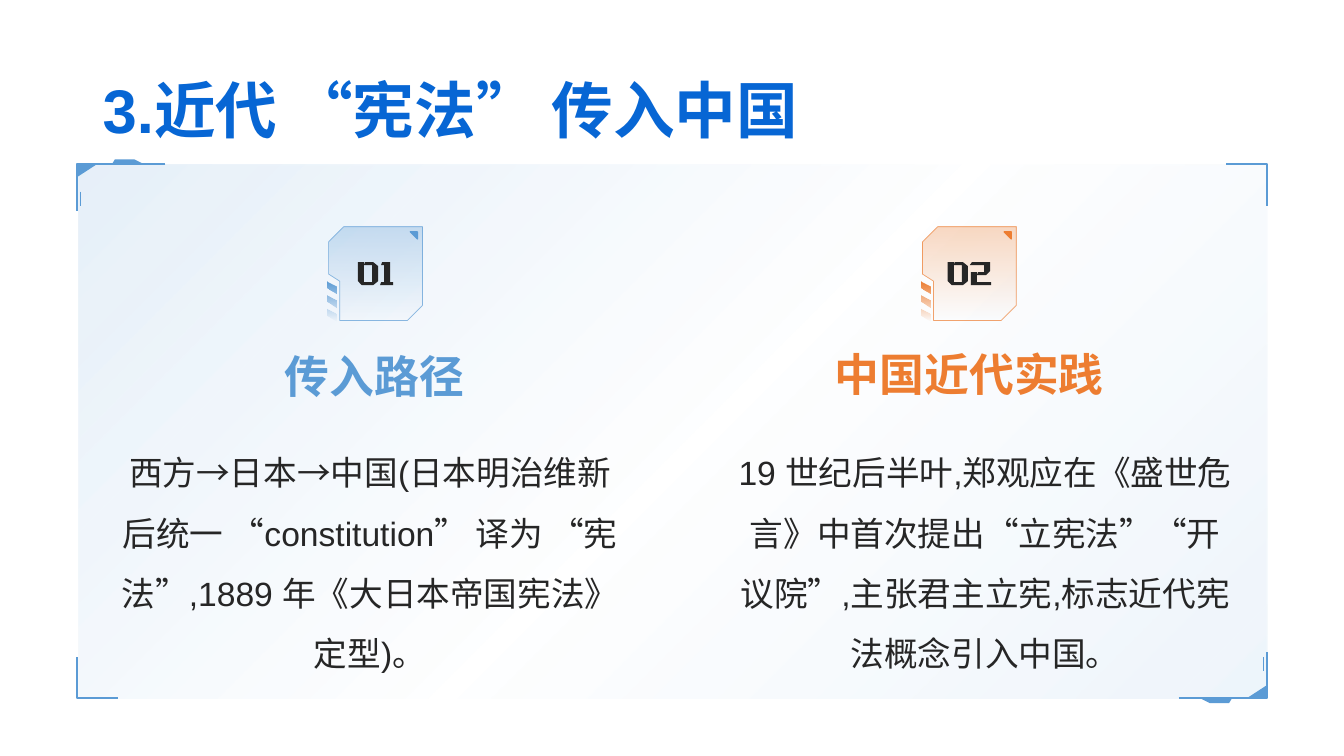
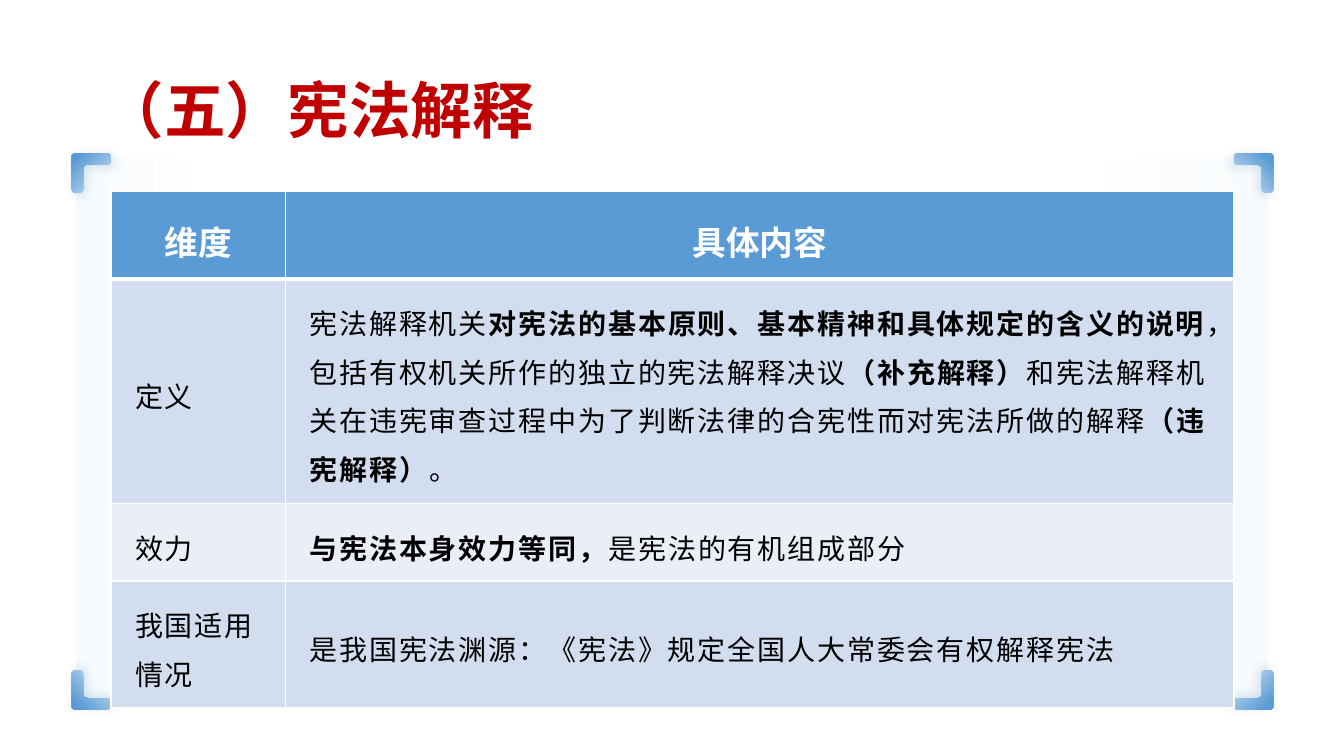
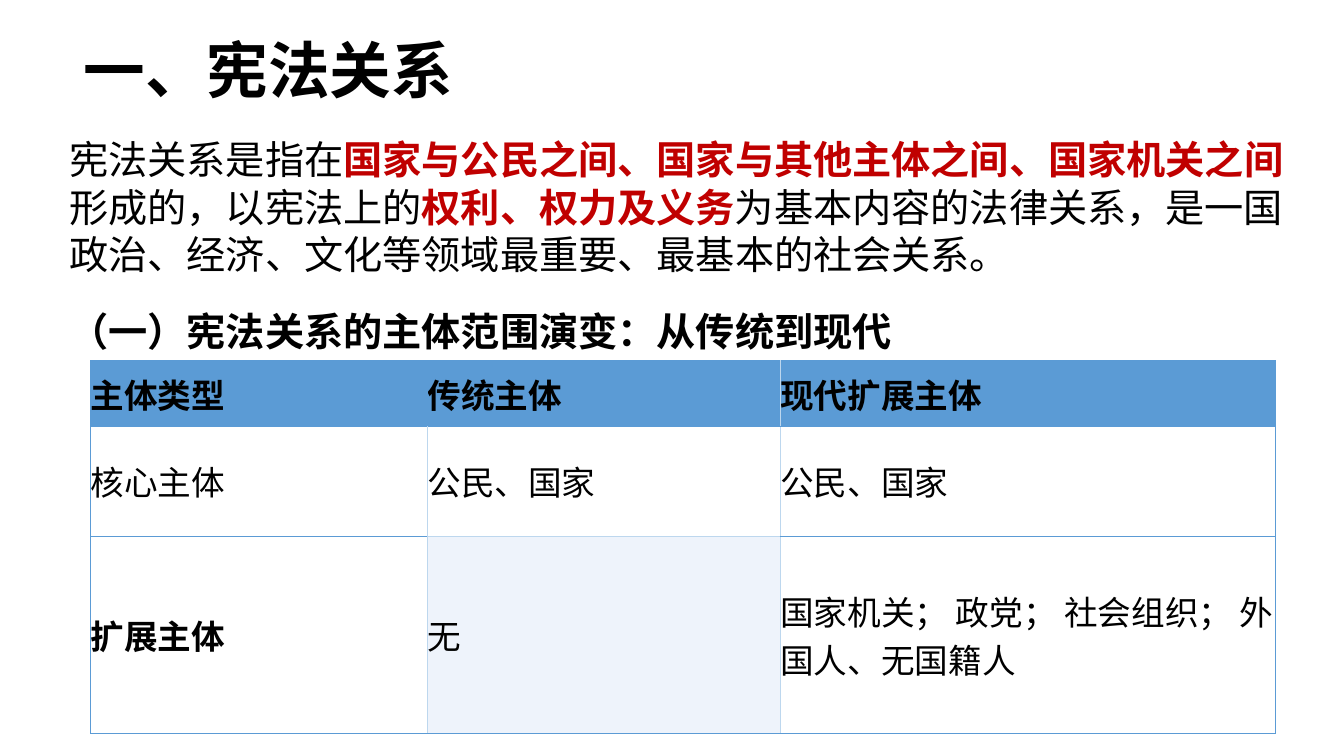
from lxml import etree
from pptx import Presentation
from pptx import util as u
from pptx.dml.color import RGBColor
from pptx.enum import shapes, text
from pptx.oxml.ns import qn

# Shared look
BLUE = RGBColor(0x5B, 0x9B, 0xD5)
SKY = RGBColor(0xB5, 0xD2, 0xEC)
MIST = RGBColor(0xD6, 0xE6, 0xF4)
DEEP = RGBColor(0x2E, 0x75, 0xB6)
EDGE = RGBColor(0xBD, 0xD7, 0xEE)
ORANGE = RGBColor(0xED, 0x7D, 0x31)
TITLE_BLUE = RGBColor(0x07, 0x66, 0xD4)
RED = RGBColor(0xC0, 0x00, 0x00)
INK = RGBColor(0x26, 0x26, 0x26)
BLACK = RGBColor(0, 0, 0)
WHITE = RGBColor(0xFF, 0xFF, 0xFF)
BAND_DARK = RGBColor(0xD2, 0xDE, 0xEF)
BAND_LIGHT = RGBColor(0xEA, 0xEF, 0xF7)
TINT = RGBColor(0xEE, 0xF3, 0xFB)
LATIN, HAN = "Arial", "Noto Sans CJK SC"

# The grid: 75 rows of square cells; every length below counts cells
ROWS = 75
SLIDE_WIDTH, SLIDE_HEIGHT = u.Inches(13.33), u.Inches(7.5)
CELL = SLIDE_HEIGHT / ROWS
POINT_STEPS = 1000  # outline points are rounded to a thousandth of a cell

CENTERED = {"alignment": text.PP_ALIGN.CENTER}
NO_INSETS = dict.fromkeys(("margin_left", "margin_top", "margin_right", "margin_bottom"), 0)

# Numerals as outlines: contours and overall width
ZERO = [(0, 0), (.6, 0), (.6, 2), (1.4, 2), (1.4, .3), (.6, .3), (.7, 0), (1.5, 0),
        (2, .4), (2, 1.9), (1.5, 2.3), (.4, 2.3), (0, 1.9)]
ONE = [(2.4, 0), (3.2, 0), (3.2, 2), (3.5, 2), (3.5, 2.3), (2.2, 2.3), (2.3, 2),
       (2.6, 2), (2.6, .3), (2.3, .3)]
TWO_FOOT = [(2.3, 1), (2.9, 1), (2.9, 2), (4.3, 2), (4.3, 2.3), (2.3, 2.3)]
TWO_HEAD = [(2.4, 0), (4.2, 0), (4.2, .9), (3.8, 1.3), (2.9, 1.3), (3, 1), (3.6, 1),
            (3.6, .3), (2.2, .3)]
NUMERALS = {"01": ([ZERO, ONE], 3.5), "02": ([ZERO, TWO_FOOT, TWO_HEAD], 4.3)}


def cells(*lengths):
    return [u.Emu(round(length * CELL)) for length in lengths]


def apply(target, values):
    for name, value in values.items():
        setattr(target, name, value)


def child(parent, tag, **attributes):
    return etree.SubElement(parent, qn(tag), {k: str(v) for k, v in attributes.items()})


def color_node(parent, color, alpha=100):
    node = child(parent, "a:srgbClr", val=color)
    if alpha < 100:
        child(node, "a:alpha", val=alpha * 1000)
    return node


# Fills, lines and shadows
def paint(shape, fill=None, line=None, width=1):
    shape.shadow.inherit = False
    if fill is None:
        shape.fill.background()
    else:
        shape.fill.solid()
        shape.fill.fore_color.rgb = fill
    if line is None:
        shape.line.fill.background()
    else:
        shape.line.color.rgb = line
        shape.line.width = u.Pt(width)


def set_gradient(shape, stops, angle):
    """Stops are (position, colour, opacity), the angle runs clockwise."""
    empty_fill = shape._element.spPr.find(qn("a:noFill"))
    gradient = etree.Element(qn("a:gradFill"), rotWithShape="1")
    stop_list = child(gradient, "a:gsLst")
    for position, color, alpha in stops:
        color_node(child(stop_list, "a:gs", pos=position * 1000), color, alpha)
    child(gradient, "a:lin", ang=angle * 60000, scaled=0)
    empty_fill.getparent().replace(empty_fill, gradient)


def set_shadow(shape, color, alpha, blur, distance, direction):
    effects = shape._element.spPr.find(qn("a:effectLst"))
    shadow = child(effects, "a:outerShdw", blurRad=u.Pt(blur), dist=u.Pt(distance),
                   dir=direction * 60000, algn="ctr", rotWithShape=0)
    color_node(shadow, color, alpha)


# Shapes
def add_outline(slide, left, top, contours, closed=True, **look):
    scaled = [[(round(x * POINT_STEPS), round(y * POINT_STEPS)) for x, y in contour]
              for contour in contours]
    builder = slide.shapes.build_freeform(*scaled[0][0], scale=CELL / POINT_STEPS)
    for index, contour in enumerate(scaled):
        if index:
            builder.move_to(*contour[0])
        builder.add_line_segments(contour[1:], close=closed)
    shape = builder.convert_to_shape(*cells(left, top))
    paint(shape, **look)
    return shape


def add_preset(slide, kind, box, **look):
    shape = slide.shapes.add_shape(kind, *cells(*box))
    paint(shape, **look)
    return shape


def add_corner_triangle(slide, box, rotation, **look):
    triangle = add_preset(slide, shapes.MSO_SHAPE.ISOSCELES_TRIANGLE, box, **look)
    triangle.adjustments[0] = 1
    triangle.rotation = rotation


def add_panel(slide, box, stops, angle):
    panel = add_preset(slide, shapes.MSO_SHAPE.RECTANGLE, box)
    set_gradient(panel, stops, angle)


# Text
def write(paragraph, content, font, color, strong=None, strong_color=None,
          latin=LATIN, layout=None, tracking=None):
    """Pieces between bars take the strong values."""
    apply(paragraph, layout or {})
    for index, piece in enumerate(content.split("|")):
        if not piece:
            continue
        emphasised = index % 2 == 1
        run = paragraph.add_run()
        run.text = piece
        apply(run.font, {"name": latin, **font, **(strong or {} if emphasised else {})})
        run.font.color.rgb = strong_color if emphasised and strong_color else color
        properties = run._r.get_or_add_rPr()
        properties.set("lang", "zh-CN")
        if tracking:
            properties.set("spc", str(tracking))
        child(properties, "a:ea", typeface=HAN)


def add_text(slide, box, content=None, frame=None, **style):
    text_frame = slide.shapes.add_textbox(*cells(*box)).text_frame
    apply(text_frame, {"word_wrap": True, **(frame or {})})
    if content:
        write(text_frame.paragraphs[0], content, **style)
    return text_frame


def add_title(slide, content, color, latin=LATIN):
    add_text(slide, (9.2, 4, 115, 14.5), content,
             frame={"vertical_anchor": text.MSO_ANCHOR.MIDDLE},
             font={"size": u.Pt(44), "bold": True}, color=color, latin=latin,
             layout={"line_spacing": .9})


# Tables
def set_borders(cell, edges):
    """Edges are (colour, points) for left, right, top and bottom."""
    properties = cell._tc.get_or_add_tcPr()
    for index, (side, (color, width)) in enumerate(zip("LRTB", edges)):
        line = etree.Element(qn(f"a:ln{side}"), w=str(u.Pt(width)))
        color_node(child(line, "a:solidFill"), color)
        properties.insert(index, line)


def add_table(slide, left, top, widths, heights, rows, style_cell):
    """style_cell gives each cell's fill, borders, margins and text style."""
    frame = slide.shapes.add_table(len(heights), len(widths),
                                   *cells(left, top, sum(widths), sum(heights)))
    table = frame.table
    apply(table, {"first_row": False, "horz_banding": False})
    for column, width in zip(table.columns, cells(*widths)):
        column.width = width
    for row, height in zip(table.rows, cells(*heights)):
        row.height = height
    for r, contents in enumerate(rows):
        for c, content in enumerate(contents):
            cell = table.cell(r, c)
            fill, edges, margins, style = style_cell(r, c)
            if fill is None:
                cell.fill.background()
            else:
                cell.fill.solid()
                cell.fill.fore_color.rgb = fill
            set_borders(cell, edges)
            apply(cell, {"vertical_anchor": text.MSO_ANCHOR.MIDDLE, **margins})
            write(cell.text_frame.paragraphs[0], content, **style)


# Slide 1: framed panel with two numbered columns
def add_bracket(slide, x, y, across, down):
    add_outline(slide, x, y, [[(across, 0), (0, 0), (0, down)]], closed=False,
                line=BLUE, width=1.5)


def add_accented_corner(slide, x, y, sign):
    """sign is 1 for the upper left corner and -1 for the lower right one."""
    add_bracket(slide, x, y, sign * 8.8, sign * 4.6)
    width, height = 2, 1.3
    inward = min(sign, 0)
    add_corner_triangle(slide, (x + inward * width, y + inward * height, width, height),
                        180 if sign > 0 else 0, fill=BLUE)
    tick_x = x + sign * .4
    tick = slide.shapes.add_connector(
        shapes.MSO_CONNECTOR.STRAIGHT,
        *cells(tick_x, y + sign * 2.7, tick_x, y + sign * 4.1))
    apply(tick.line, {"width": u.Pt(1)})
    tick.line.color.rgb = BLUE
    child(tick._element.spPr, "a:effectLst")
    tab = [(5.7, -.5), (6.7, 0), (3.5, 0), (3.8, -.5)]
    add_outline(slide, x, y, [[(sign * px, sign * py) for px, py in tab]], fill=BLUE)


def add_badge(slide, left, top, number, color):
    side = 9.3
    card = add_outline(slide, left, top, [[
        (1.5, 0), (side, 0), (side, 7.8), (7.8, side), (1.1, side), (1.1, 5.4),
        (0, 4.7), (0, 1.5)]], line=color, width=.5)
    set_gradient(card, [(0, color, 0), (100, color, 30)], 270)
    line_color = card._element.spPr.find(qn("a:ln")).find(".//" + qn("a:srgbClr"))
    child(line_color, "a:alpha", val=70000)
    add_corner_triangle(slide, (left + 8.1, top + .5, .7, .7), 270, fill=color, line=color)
    stripes = add_outline(slide, left, top, [
        [(-.1, y), (.8, y + .5), (.8, y + 1.3), (-.1, y + .7)] for y in (5.4, 6.75, 8.1)])
    set_gradient(stripes, [(0, color, 0), (100, color, 100)], 270)
    contours, width = NUMERALS[number]
    add_outline(slide, left + (side - width) / 2, top + 3.5, contours, fill=INK)


def build_origin(slide):
    add_title(slide, "3.近代 “宪法” 传入中国", TITLE_BLUE)
    add_panel(slide, (7.8, 16.3, 117.9, 53),
              [(0, BLUE, 15), (52, BLUE, 0), (100, BLUE, 10)], 45)
    left, top, right, bottom = 7.6, 16.3, 125.7, 69.25
    add_bracket(slide, right, top, -4.1, 4.1)
    add_bracket(slide, left, bottom, 4.1, -4.1)
    add_accented_corner(slide, left, top, 1)
    add_accented_corner(slide, right, bottom, -1)

    columns = [
        ("01", BLUE, 32.6, "传入路径", (14.3, 35.5, 45.7, 4.4), (11.9, 42.9, 49.6, 25.1),
         "西方→日本→中国(日本明治维新后统一 “constitution” 译为 “宪法”,1889 年"
         "《大日本帝国宪法》定型)。"),
        ("02", ORANGE, 91.5, "中国近代实践", (73.3, 35.3, 45.7, 4.4), (73.2, 42.9, 49, 23.4),
         "19 世纪后半叶,郑观应在《盛世危言》中首次提出“立宪法”“开议院”,"
         "主张君主立宪,标志近代宪法概念引入中国。"),
    ]
    for number, color, badge_left, heading, heading_box, body_box, body in columns:
        add_badge(slide, badge_left, 22.5, number, color)
        add_text(slide, heading_box, heading,
                 frame={**NO_INSETS, "vertical_anchor": text.MSO_ANCHOR.BOTTOM},
                 font={"size": u.Pt(32), "bold": True}, color=color, layout=CENTERED)
        add_text(slide, body_box, body, frame=NO_INSETS, font={"size": u.Pt(24)},
                 color=INK, layout={**CENTERED, "line_spacing": u.Pt(43)})


# Slide 2: table inside four rounded corner marks
def round_corners(points, radius, steps=5):
    """Replaces each right-angled vertex by a short curve."""
    rounded = []
    for i, (x, y) in enumerate(points):
        ends = []
        for nx, ny in (points[i - 1], points[(i + 1) % len(points)]):
            share = radius / (abs(nx - x) + abs(ny - y))
            ends.append((x + (nx - x) * share, y + (ny - y) * share))
        (ax, ay), (bx, by) = ends
        for step in range(steps + 1):
            t = step / steps
            rounded.append(((1 - t) ** 2 * ax + 2 * t * (1 - t) * x + t * t * bx,
                            (1 - t) ** 2 * ay + 2 * t * (1 - t) * y + t * t * by))
    return rounded


def add_corner_mark(slide, x, y, across, down, inward_angle):
    arm, thick = 3.9, 1.15
    ell = [(0, 0), (arm, 0), (arm, thick), (thick, thick), (thick, arm), (0, arm)]
    points = [(across * px, down * py) for px, py in round_corners(ell, .45)]
    mark = add_outline(slide, x, y, [points])
    set_gradient(mark, [(0, MIST, 100), (88, BLUE, 100)], (inward_angle + 180) % 360)
    set_shadow(mark, DEEP, 20, 8, 3, inward_angle)


def style_interpretation_cell(row, column):
    fill = BLUE if row == 0 else BAND_DARK if row % 2 else BAND_LIGHT
    edges = [(WHITE, 1)] * 2 + [(WHITE, 3 if row == 1 else 1), (WHITE, 1 if row else 3)]
    side, end = cells(2.4, 1.5)
    margins = {"margin_left": side, "margin_right": side,
               "margin_top": end, "margin_bottom": end}
    layout = {"line_spacing": 1.2}
    if row == 0:
        style = {"font": {"size": u.Pt(24), "bold": True}, "color": WHITE,
                 "layout": {**layout, **CENTERED}}
    else:
        style = {"font": {"size": u.Pt(20), "bold": False}, "color": BLACK,
                 "strong": {"bold": True}, "layout": layout, "tracking": 130}
    return fill, edges, margins, {**style, "latin": HAN}


def build_interpretation(slide):
    add_panel(slide, (7.6, 15.7, 118.1, 53.9),
              [(0, BLUE, 5), (10, SKY, 0), (86, SKY, 0), (100, BLUE, 5)], 0)
    add_title(slide, "（五）宪法解释", RED, HAN)
    left, top, right, bottom = 7.1, 15.2, 126.3, 70.4
    for mark in ((left, bottom, 1, -1, 315), (left, top, 1, 1, 45),
                 (right, bottom, -1, -1, 225), (right, top, -1, 1, 135)):
        add_corner_mark(slide, *mark)
    add_table(slide, 11, 19, (17.3, 94.1), (8.65, 22.3, 7.7, 12.6), [
        ("维度", "具体内容"),
        ("定义", "宪法解释机关|对宪法的基本原则、基本精神和具体规定的含义的说明|，包括有权机关"
                 "所作的独立的宪法解释决议|（补充解释）|和宪法解释机关在违宪审查过程中为了判断"
                 "法律的合宪性而对宪法所做的解释|（违宪解释）|。"),
        ("效力", "|与宪法本身效力等同，|是宪法的有机组成部分"),
        ("我国适用情况", "是我国宪法渊源：《宪法》规定全国人大常委会有权解释宪法"),
    ], style_interpretation_cell)


# Slide 3: definition above a table of subjects
def style_subject_cell(row, column):
    def upright(line):
        return BLUE if line in (0, 3) or (row, line) == (0, 1) else EDGE

    def level(line):
        return EDGE if (line, column) == (2, 1) else BLUE

    fill = BLUE if row == 0 else TINT if (row, column) == (2, 1) else None
    edges = [(color, .75) for color in (upright(column), upright(column + 1),
                                        level(row), level(row + 1))]
    bold = row == 0 or (row, column) == (2, 0)
    return fill, edges, NO_INSETS, {"font": {"size": u.Pt(24), "bold": bold}, "color": BLACK}


def build_relations(slide):
    frame = add_text(slide, (5.9, 2.6, 124.3, 70.1), "一、宪法关系",
                     font={"size": u.Pt(44), "bold": True}, color=BLACK, latin=HAN,
                     layout={"line_spacing": u.Pt(53)})
    indent, = cells(1.4)
    frame.paragraphs[0]._p.get_or_add_pPr().set("marL", str(indent))
    write(frame.add_paragraph(),
          "宪法关系是指在|国家与公民之间、国家与其他主体之间、国家机关之间|形成的，以宪法上的"
          "|权利、权力及义务|为基本内容的法律关系，是一国政治、经济、文化等领域最重要、最基本的"
          "社会关系。",
          font={"size": u.Pt(28), "bold": False}, color=BLACK,
          strong={"bold": True}, strong_color=RED,
          layout={"line_spacing": u.Pt(34), "space_before": u.Pt(21)})
    write(frame.add_paragraph(), "（一）宪法关系的主体范围演变：从传统到现代",
          font={"size": u.Pt(28), "bold": True}, color=BLACK, latin=HAN,
          layout={"line_spacing": u.Pt(34), "space_before": u.Pt(21)})
    add_table(slide, 9, 35.8, (33.4, 35, 49.1), (6.5, 10.9, 19.6), [
        ("主体类型", "传统主体", "现代扩展主体"),
        ("核心主体", "公民、国家", "公民、国家"),
        ("扩展主体", "无", "国家机关； 政党； 社会组织； 外国人、无国籍人"),
    ], style_subject_cell)


def main():
    presentation = Presentation()
    apply(presentation, {"slide_width": SLIDE_WIDTH, "slide_height": SLIDE_HEIGHT})
    blank = presentation.slide_layouts[6]
    for build in (build_origin, build_interpretation, build_relations):
        build(presentation.slides.add_slide(blank))
    presentation.save("out.pptx")


if __name__ == "__main__":
    main()
